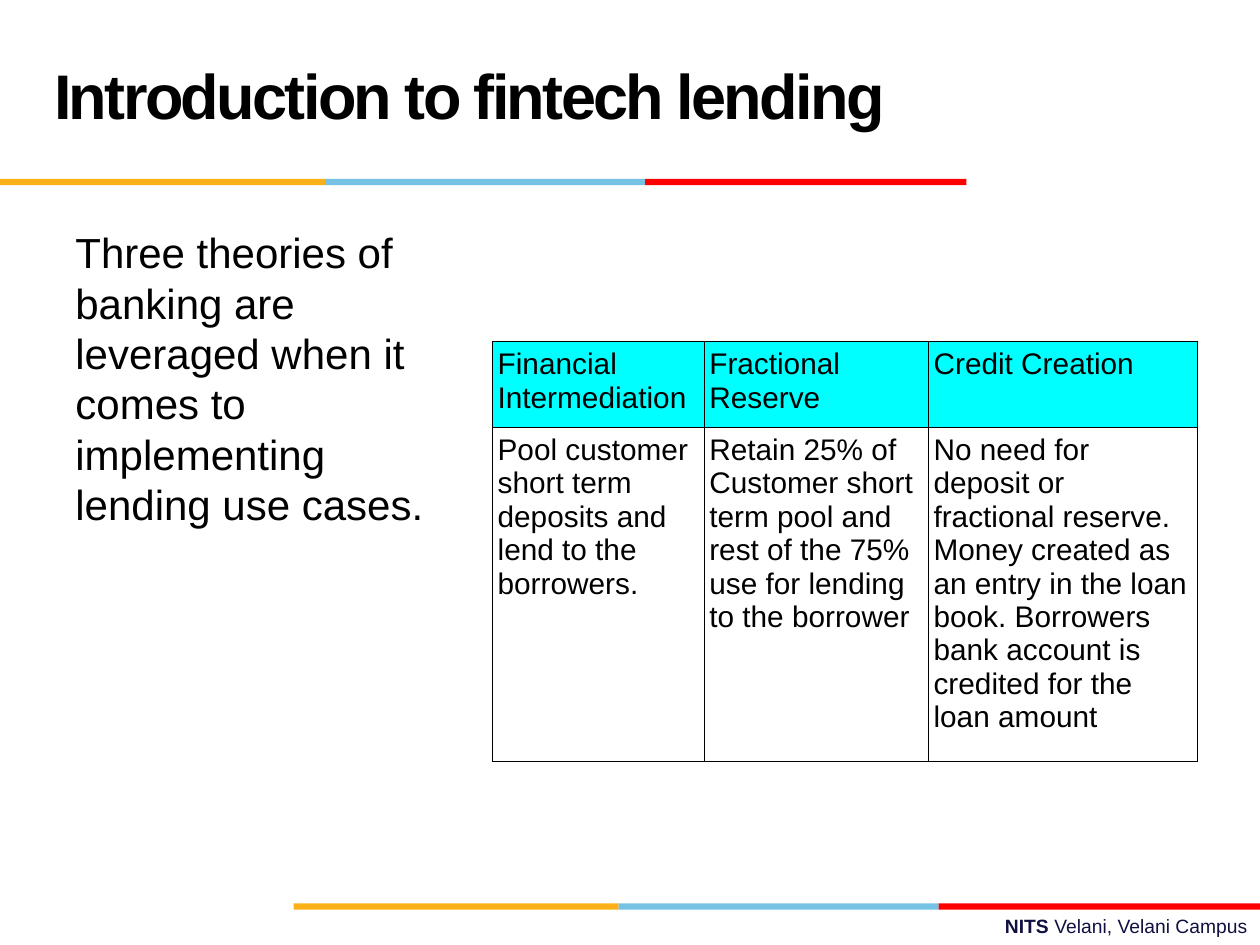
import pptx
import pptx.dml.color
import pptx.enum.shapes
import pptx.enum.text
import pptx.oxml
import pptx.oxml.ns
import pptx.util
from pptx.util import Inches

STRIPES = [("FCB017", 2.58), ("76C2E5", 2.54), ("FF0000", 2.55)]
COLUMN_WIDTHS = [1.68, 1.78, 2.13]
ROW_HEIGHTS = [0.68, 2.65]
THEORIES = [
    ["Financial Intermediation", "Fractional Reserve", "Credit Creation"],
    [
        "Pool customer short term deposits and lend to the borrowers.",
        "Retain 25% of Customer short term pool and rest of the 75% use for "
        "lending to the borrower",
        "No need for deposit or fractional reserve. Money created as an entry "
        "in the loan book. Borrowers bank account is credited for the loan amount",
    ],
]


def rgb(value):
    return pptx.dml.color.RGBColor.from_string(value)


def set_font(font, size, color="000000", bold=False):
    font.name = "Arial"
    font.size = pptx.util.Pt(size)
    font.color.rgb = rgb(color)
    font.bold = bold


def add_title(slide, text):
    title = slide.shapes.title
    title.left, title.top = Inches(0.33), Inches(0.17)
    title.width, title.height = Inches(6.92), Inches(1.25)
    title.text_frame.vertical_anchor = pptx.enum.text.MSO_ANCHOR.MIDDLE
    heading = title.text_frame.paragraphs[0]
    heading.alignment = pptx.enum.text.PP_ALIGN.LEFT
    heading.line_spacing = pptx.util.Pt(36)
    heading.space_after = pptx.util.Pt(6)
    heading.text = text
    set_font(heading.font, 36, bold=True)
    heading.runs[0].font._element.set("spc", "-150")


def add_stripes(slide, left, top):
    for color, width in STRIPES:
        stripe = slide.shapes.add_shape(
            pptx.enum.shapes.MSO_SHAPE.RECTANGLE,
            Inches(left), Inches(top), Inches(width), Inches(0.05),
        )
        stripe.shadow.inherit = False
        stripe.fill.solid()
        stripe.fill.fore_color.rgb = rgb(color)
        stripe.line.fill.background()
        left += width


def add_text(slide, left, top, width, height):
    box = slide.shapes.add_textbox(
        Inches(left), Inches(top), Inches(width), Inches(height)
    )
    box.text_frame.word_wrap = True
    return box.text_frame.paragraphs[0]


def add_borders(cell):
    properties = cell._tc.get_or_add_tcPr()
    namespace = pptx.oxml.ns.nsdecls("a")
    for position, side in enumerate(("lnL", "lnR", "lnT", "lnB")):
        border = pptx.oxml.parse_xml(
            f'<a:{side} {namespace} w="7200"><a:solidFill>'
            f'<a:srgbClr val="000000"/></a:solidFill></a:{side}>'
        )
        properties.insert(position, border)


def format_cell(cell, text, is_header):
    cell.margin_left = cell.margin_right = Inches(0.04)
    cell.margin_top = cell.margin_bottom = Inches(0.05)
    if is_header:
        cell.fill.solid()
        cell.fill.fore_color.rgb = rgb("00FFFF")
    else:
        cell.fill.background()
    cell.text = text
    set_font(cell.text_frame.paragraphs[0].font, 17)
    add_borders(cell)


def add_theory_table(slide):
    table = slide.shapes.add_table(
        len(ROW_HEIGHTS), len(COLUMN_WIDTHS), Inches(3.91), Inches(2.71),
        Inches(sum(COLUMN_WIDTHS)), Inches(sum(ROW_HEIGHTS)),
    ).table
    table.horz_banding = False
    for column, width in zip(table.columns, COLUMN_WIDTHS):
        column.width = Inches(width)
    for row, height in zip(table.rows, ROW_HEIGHTS):
        row.height = Inches(height)
    for row_index, texts in enumerate(THEORIES):
        for column_index, text in enumerate(texts):
            format_cell(table.cell(row_index, column_index), text, row_index == 0)


def main():
    deck = pptx.Presentation()
    deck.slide_width, deck.slide_height = Inches(10), Inches(7.5)
    slide = deck.slides.add_slide(deck.slide_layouts[5])

    add_stripes(slide, 0, 1.42)
    add_stripes(slide, 2.33, 7.17)

    campus = add_text(slide, 3.58, 7.21, 6.42, 0.29)
    campus.alignment = pptx.enum.text.PP_ALIGN.RIGHT
    for text, bold in (("NITS ", True), ("Velani, Velani Campus", False)):
        run = campus.add_run()
        run.text = text
        set_font(run.font, 11, "101141", bold)

    summary = add_text(slide, 0.5, 1.75, 3.29, 4.95)
    summary.text = (
        "Three theories of banking are leveraged when it comes to "
        "implementing lending use cases."
    )
    set_font(summary.font, 24)

    add_title(slide, "Introduction to fintech lending")
    add_theory_table(slide)
    deck.save("out.pptx")


if __name__ == "__main__":
    main()
